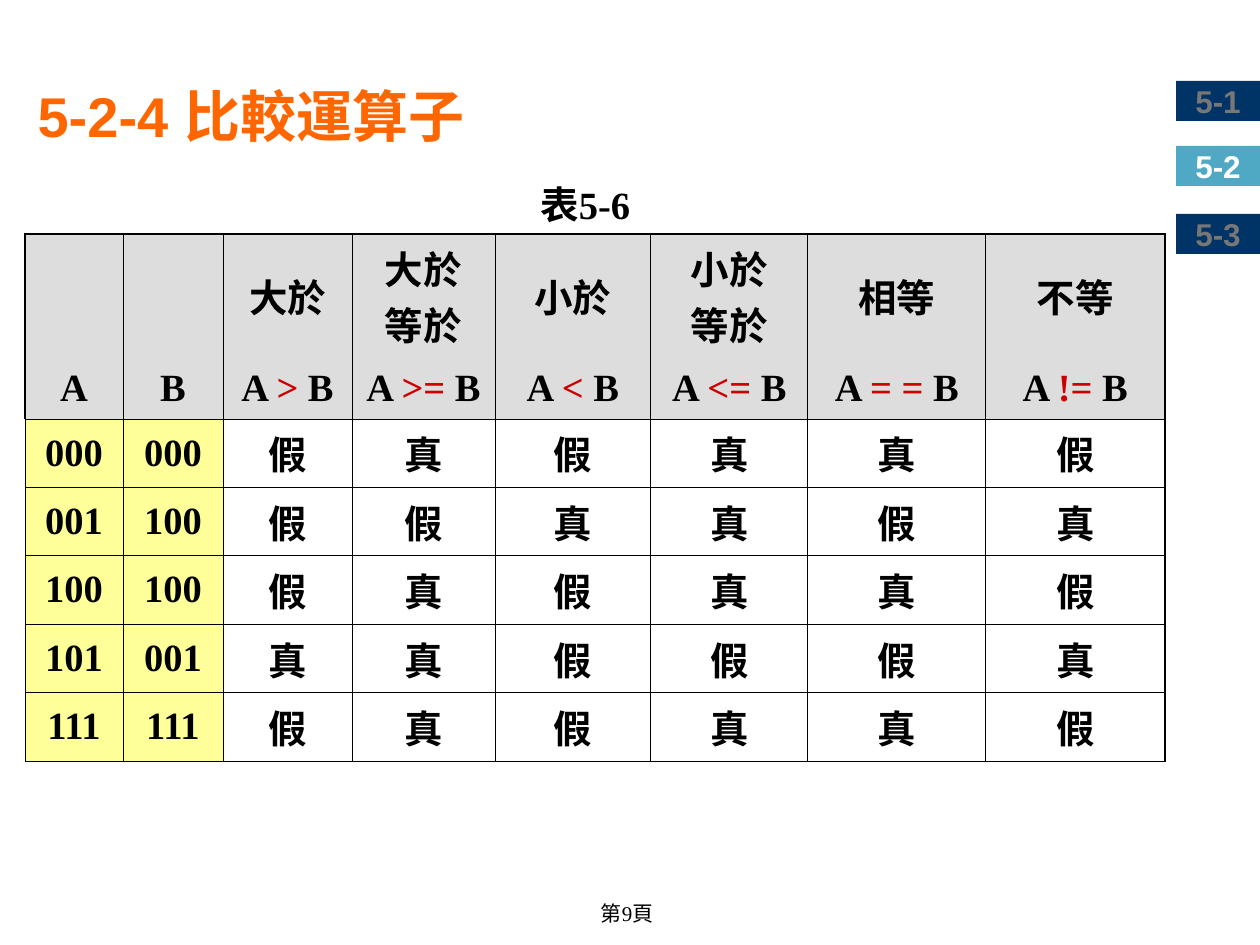
import pptx
import pptx.util
import pptx.dml.color
import pptx.enum.shapes
import pptx.enum.text
import pptx.oxml
import pptx.oxml.ns

SCALE = 914400 / 126
ANCHOR = pptx.enum.text.MSO_ANCHOR
ALIGN = pptx.enum.text.PP_ALIGN


def px(n):
    return pptx.util.Emu(round(n * SCALE))


def color(value):
    return pptx.dml.color.RGBColor.from_string(value)


class Deck:
    heading_font = "Arial"
    body_font = "Times New Roman"
    ink = "000000"
    operator_color = "CC0000"
    outer, inner = 1.08, 0.45

    def __init__(self, prs):
        self.s = prs.slides.add_slide(prs.slide_layouts[5])

    def style(self, p, size, name, value, bold=True, align=ALIGN.CENTER):
        p.alignment = align
        p.font.size = pptx.util.Pt(size)
        p.font.name = name
        p.font.bold = bold
        p.font.color.rgb = color(value)

    def title(self, text, x, y, w, h):
        sp = self.s.shapes.title
        sp.left, sp.top, sp.width, sp.height = px(x), px(y), px(w), px(h)
        tf = sp.text_frame
        tf.text = text
        tf.word_wrap = True
        tf.auto_size = pptx.enum.text.MSO_AUTO_SIZE.NONE
        tf.vertical_anchor = ANCHOR.TOP
        self.style(tf.paragraphs[0], 32, self.heading_font, "FF6600", align=ALIGN.LEFT)

    def label(self, text, x, y, w, h, size, bold, align):
        tf = self.s.shapes.add_textbox(px(x), px(y), px(w), px(h)).text_frame
        tf.text = text
        tf.word_wrap = True
        tf.auto_size = pptx.enum.text.MSO_AUTO_SIZE.NONE
        self.style(tf.paragraphs[0], size, self.body_font, self.ink, bold, align)

    def section_tab(self, text, x, y, w, h, fill, text_color):
        rect = pptx.enum.shapes.MSO_SHAPE.RECTANGLE
        sp = self.s.shapes.add_shape(rect, px(x), px(y), px(w), px(h))
        sp.shadow.inherit = False
        sp.fill.solid()
        sp.fill.fore_color.rgb = color(fill)
        sp.line.fill.background()
        tf = sp.text_frame
        tf.text = text
        tf.word_wrap = False
        tf.vertical_anchor = ANCHOR.MIDDLE
        self.style(tf.paragraphs[0], 18, self.heading_font, text_color)

    def border(self, cell, side, width):
        paint = f'<a:solidFill><a:srgbClr val="{self.ink}"/></a:solidFill>' if width else "<a:noFill/>"
        cell._tc.get_or_add_tcPr().append(pptx.oxml.parse_xml(
            f'<a:ln{side} {pptx.oxml.ns.nsdecls("a")} w="{round(width * 12700)}">{paint}</a:ln{side}>'))

    def cell(self, cell, content, fill):
        cell.vertical_anchor = ANCHOR.MIDDLE
        p = cell.text_frame.paragraphs[0]
        if isinstance(content, tuple):
            for text in content:
                p.add_run().text = text
            p.runs[1].font.color.rgb = color(self.operator_color)
        else:
            p.text = content
        self.style(p, 22, self.body_font, self.ink)
        if fill:
            cell.fill.solid()
            cell.fill.fore_color.rgb = color(fill)
        else:
            cell.fill.background()

    def truth_table(self, rows, x, y, widths, heights):
        table = self.s.shapes.add_table(len(rows), len(widths), px(x), px(y),
                                        px(sum(widths)), px(sum(heights))).table
        table.first_row = table.horz_banding = False
        for column, width in zip(table.columns, widths):
            column.width = px(width)
        for row, height in zip(table.rows, heights):
            row.height = px(height)
        last_col = len(widths) - 1
        for i, row in enumerate(rows):
            for j, content in enumerate(row):
                cell = table.cell(i, j)
                self.border(cell, "L", self.outer if j == 0 and i < 2 else self.inner)
                self.border(cell, "R", self.outer if j == last_col else self.inner)
                self.border(cell, "T", {0: self.outer, 1: 0}.get(i, self.inner))
                self.border(cell, "B", self.inner if i else 0)
                self.cell(cell, content, "DDDDDD" if i < 2 else "FFFF99" if j < 2 else None)


def main():
    prs = pptx.Presentation()
    prs.slide_width, prs.slide_height = px(1260), px(945)
    deck = Deck(prs)
    deck.title("5-2-4 比較運算子", 25, 75, 1139, 804)
    deck.label("第9頁", 547, 894, 160, 38, 12, False, ALIGN.CENTER)

    for text, y in (("5-1", 81), ("5-2", 146), ("5-3", 214)):
        fill, text_color = ("4FA9C5", "FFFFFF") if text == "5-2" else ("003366", "777777")
        deck.section_tab(text, 1176, y, 84, 40, fill, text_color)

    names = ["", "", "大於", "大於\n等於", "小於", "小於\n等於", "相等", "不等"]
    operators = [">", ">=", "<", "<=", "= =", "!="]
    truths = [
        ("000", "000", "假真假真真假"),
        ("001", "100", "假假真真假真"),
        ("100", "100", "假真假真真假"),
        ("101", "001", "真真假假假真"),
        ("111", "111", "假真假真真假"),
    ]
    rows = [names, ["A", "B"] + [("A ", op, " B") for op in operators]]
    rows += [[a, b, *results] for a, b, results in truths]
    widths = [98, 100, 129, 143, 156, 157, 178, 179]
    heights = [124, 61, 68, 68, 69, 68, 68]
    deck.truth_table(rows, 25, 234, widths, heights)
    deck.label("表5-6", 528, 175, 132, 59, 22, True, ALIGN.LEFT)
    prs.save("out.pptx")


if __name__ == "__main__":
    main()
